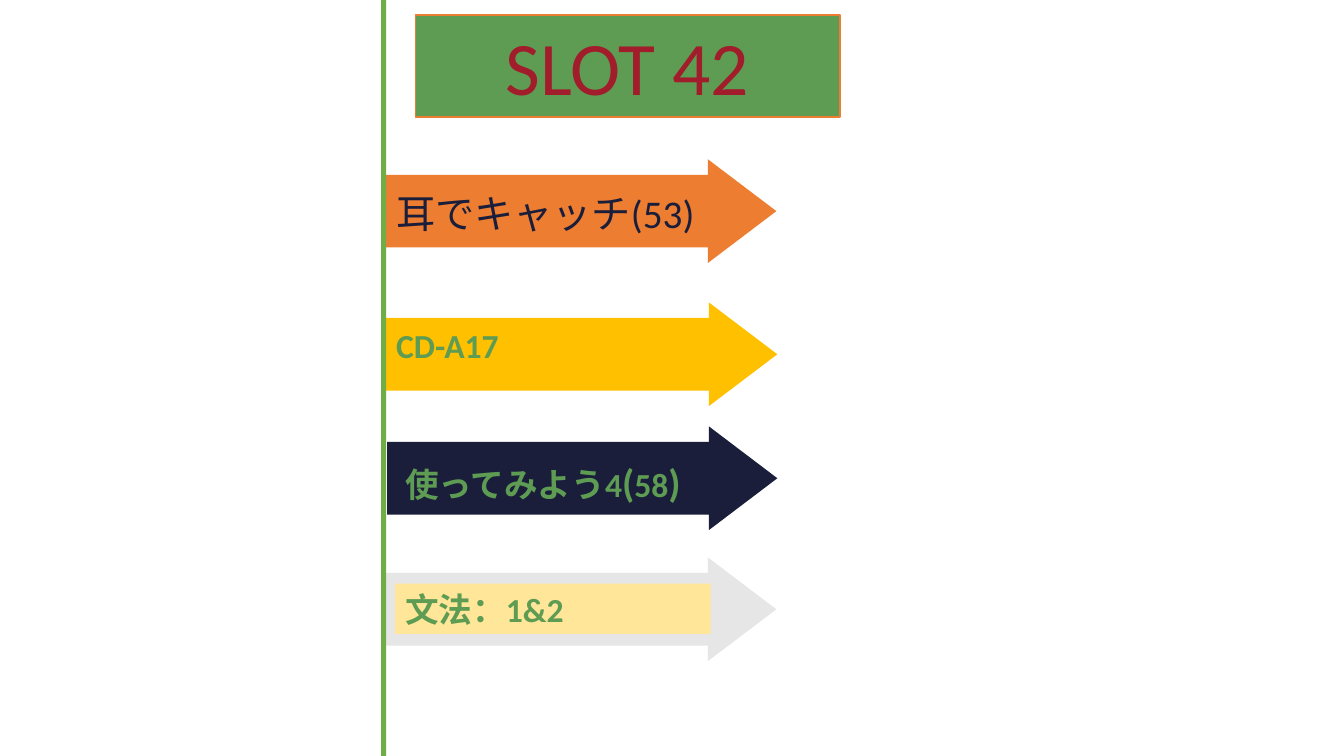
from pptx import Presentation
from pptx.dml.color import RGBColor
from pptx.enum.shapes import MSO_SHAPE
from pptx.enum.text import MSO_ANCHOR, MSO_AUTO_SIZE, PP_ALIGN
from pptx.util import Pt

SCALE = 9144
GREEN, ORANGE, NAVY, RED = "5E9C53", "ED7D31", "1A1E3B", "A11D2B"
GOLD, GRAY, CREAM, STRIPE = "FFC000", "E7E6E6", "FFE699", "70AD47"

ROWS = [
    ((378, 158, 392, 103), ORANGE, (5, 25, 402, 57), None,
     [("耳でキャッチ(53)", 28)], NAVY, False),
    ((381, 300, 390, 103), GOLD, (2, 17, 440, 50), None,
     [("CD-A17", 24)], GREEN, True),
    ((384, 423, 387, 103), NAVY, (8, 27, 313, 57), None,
     [("使ってみよう4", 24), ("(", 28), ("58", 24), (")", 28)], GREEN, True),
    ((383, 553, 387, 103), GRAY, (9, 26, 313, 50), CREAM,
     [("文法：1&2", 24)], GREEN, True),
]


def px(box):
    return [size * SCALE for size in box]


def color(code):
    return RGBColor.from_string(code)


def add_block(slide, kind, box, fill, edge=None):
    block = slide.shapes.add_shape(kind, *px(box))
    block.shadow.inherit = False
    block.fill.solid()
    block.fill.fore_color.rgb = color(fill)
    if edge:
        block.line.color.rgb = color(edge)
        block.line.width = Pt(1)
    else:
        block.line.fill.background()
    return block


def add_text(shape, runs, ink, bold=False, align=PP_ALIGN.LEFT):
    frame = shape.text_frame
    frame.word_wrap = True
    frame.auto_size = MSO_AUTO_SIZE.SHAPE_TO_FIT_TEXT
    frame.vertical_anchor = MSO_ANCHOR.TOP
    para = frame.paragraphs[0]
    para.alignment = align
    for text, size in runs:
        run = para.add_run()
        run.text = text
        run.font.name = "Calibri"
        run.font.size = Pt(size)
        run.font.bold = bold
        run.font.color.rgb = color(ink)


def add_title(slide, box):
    title = add_block(slide, MSO_SHAPE.RECTANGLE, box, GREEN, ORANGE)
    add_text(title, [("SLOT 42", 54)], RED, align=PP_ALIGN.CENTER)


def add_row(slide, box, fill, inset, panel, runs, ink, bold):
    arrow = add_block(slide, MSO_SHAPE.RIGHT_ARROW, box, fill)
    arrow.adjustments[0] = 0.7
    arrow.adjustments[1] = 0.66
    left, top, width, height = inset
    place = (box[0] + left, box[1] + top, width, height)
    if panel:
        label = add_block(slide, MSO_SHAPE.RECTANGLE, place, panel)
    else:
        label = slide.shapes.add_textbox(*px(place))
    add_text(label, runs, ink, bold)


def main():
    deck = Presentation()
    deck.slide_width, deck.slide_height = px((1333, 750))
    slide = deck.slides.add_slide(deck.slide_layouts[6])
    for row in ROWS:
        add_row(slide, *row)
    add_block(slide, MSO_SHAPE.RECTANGLE, (378, 0, 5, 750), STRIPE)
    add_title(slide, (412, 15, 421, 101))
    deck.save("out.pptx")


if __name__ == "__main__":
    main()
